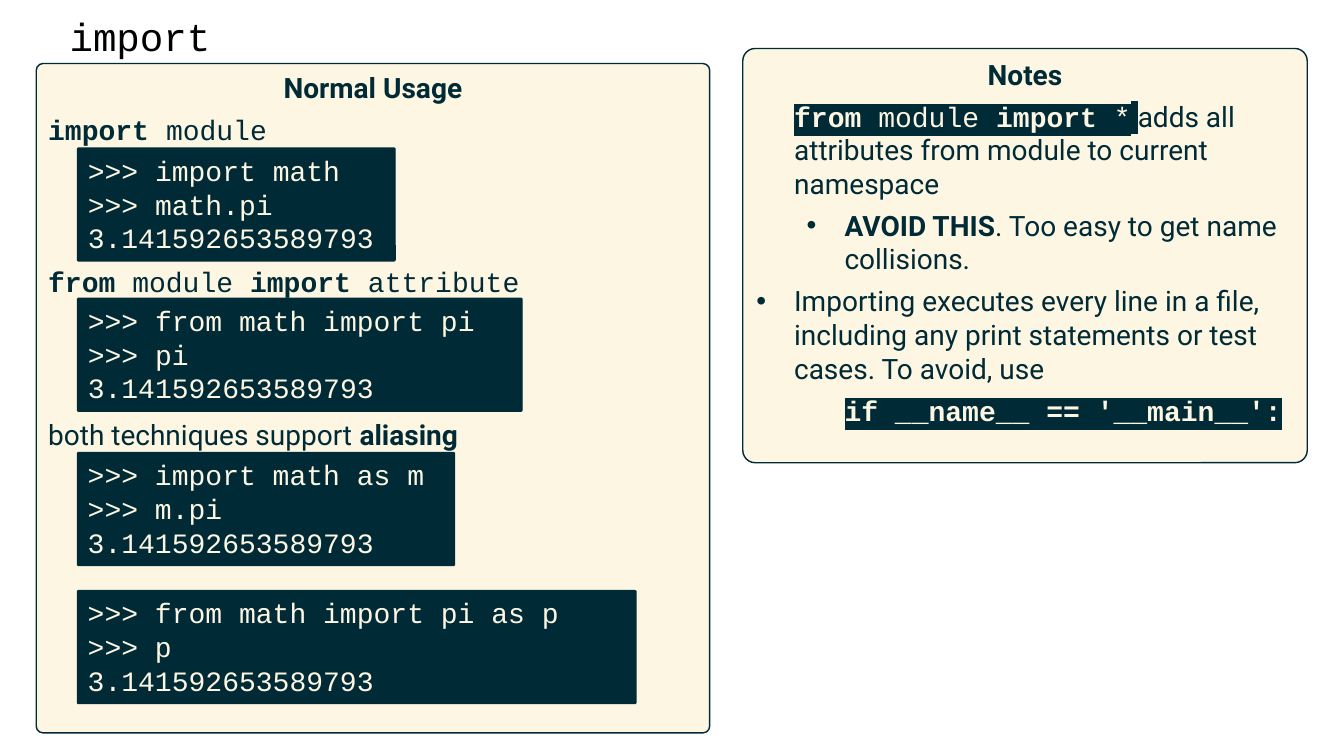
from dataclasses import dataclass

from lxml.etree import SubElement
from pptx import Presentation
from pptx.dml.color import RGBColor
from pptx.enum.shapes import MSO_SHAPE
from pptx.enum.text import MSO_ANCHOR, MSO_AUTO_SIZE, PP_ALIGN
from pptx.oxml.ns import qn
from pptx.util import Pt

COLORS = {"ink": "002B36", "paper": "FDF6E3", "black": "000000"}
MONO = "Courier New"
SANS = "Roboto"
INDENT = 27
CODE_LEFT = 55.4
CODE_HEIGHT = 80.6
RESULT = "3.141592653589793"


@dataclass
class Span:
    text: str
    font: str = SANS
    bold: bool = False
    color: str = "ink"
    highlight: str = ""


@dataclass
class Line:
    spans: list[Span]
    before: float = 6
    after: float = 0
    align: PP_ALIGN = PP_ALIGN.LEFT
    bullet_level: int | None = None


@dataclass
class Box:
    left: float
    top: float
    width: float
    height: float
    corner: float
    fill: str
    lines: list[Line]


@dataclass
class Example:
    top: float
    width: float
    statement: str
    expression: str


def rgb(name: str) -> RGBColor:
    return RGBColor.from_string(COLORS[name])


def apply(target, values: dict) -> None:
    for name, value in values.items():
        setattr(target, name, value)


def add_span(paragraph, span: Span, size: float = 20) -> None:
    run = paragraph.add_run()
    run.text = span.text
    run.font.color.rgb = rgb(span.color)
    apply(run.font, {"name": span.font, "size": Pt(size), "bold": span.bold})
    if span.highlight:
        properties = run.font._element
        highlight = SubElement(properties, qn("a:highlight"))
        SubElement(highlight, qn("a:srgbClr"), val=COLORS[span.highlight])
        properties.find(qn("a:solidFill")).addnext(highlight)


def set_bullet(paragraph, level: int) -> None:
    paragraph.level = level
    properties = paragraph._p.get_or_add_pPr()
    properties.set("marL", str(Pt(INDENT + 36 * level)))
    properties.set("indent", str(Pt(-INDENT)))
    SubElement(properties, qn("a:buFont"), typeface="Arial")
    SubElement(properties, qn("a:buChar"), char="•")


def add_line(paragraph, line: Line) -> None:
    apply(paragraph, {
        "alignment": line.align,
        "space_before": Pt(line.before),
        "space_after": Pt(line.after),
    })
    if line.bullet_level is not None:
        set_bullet(paragraph, line.bullet_level)
    for span in line.spans:
        add_span(paragraph, span)


def add_box(slide, box: Box) -> None:
    panel = slide.shapes.add_shape(
        MSO_SHAPE.ROUNDED_RECTANGLE,
        Pt(box.left), Pt(box.top), Pt(box.width), Pt(box.height),
    )
    panel.adjustments[0] = box.corner
    panel.shadow.inherit = False
    panel.fill.solid()
    panel.fill.fore_color.rgb = rgb(box.fill)
    panel.line.color.rgb = rgb("ink")
    panel.line.width = Pt(1)
    frame = panel.text_frame
    apply(frame, {"word_wrap": True, "vertical_anchor": MSO_ANCHOR.TOP})
    for index, line in enumerate(box.lines):
        add_line(frame.add_paragraph() if index else frame.paragraphs[0], line)


def heading(text: str) -> Line:
    return Line([Span(text, bold=True)], align=PP_ALIGN.CENTER)


def code_box(example: Example) -> Box:
    texts = [f">>> {example.statement}", f">>> {example.expression}", RESULT]
    lines = [Line([Span(text, MONO, color="paper")], before=0) for text in texts]
    return Box(CODE_LEFT, example.top, example.width, CODE_HEIGHT, 0.01, "ink", lines)


def inverse(text: str, bold: bool = False, font: str = MONO) -> Span:
    return Span(text, font, bold, "paper", "ink")


def add_title(slide, text: str) -> None:
    title = slide.shapes.title
    apply(title, {"left": Pt(42.5), "top": Pt(4.3), "width": Pt(162.7), "height": Pt(46.8)})
    apply(title.text_frame, {
        "word_wrap": True,
        "auto_size": MSO_AUTO_SIZE.NONE,
        "vertical_anchor": MSO_ANCHOR.MIDDLE,
    })
    paragraph = title.text_frame.paragraphs[0]
    apply(paragraph, {"alignment": PP_ALIGN.LEFT, "line_spacing": 0.9})
    add_span(paragraph, Span(text, MONO, color="black"), 28)


USAGE = Box(25.9, 45.4, 481, 478.1, 0.01, "paper", [
    heading("Normal Usage"),
    Line([Span("import ", MONO, True), Span("module", MONO)], after=78.8),
    Line([
        Span("from ", MONO, True),
        Span("module", MONO),
        Span(" import ", MONO, True),
        Span("attribute", MONO),
    ], after=78.8),
    Line([Span("both techniques support "), Span("aliasing", bold=True)]),
])

NOTES = Box(530.6, 34.6, 403.2, 295.9, 0.03, "paper", [
    heading("Notes"),
    Line([
        inverse("from", True),
        inverse(" module "),
        inverse("import", True),
        inverse(" *"),
        inverse(" ", font=SANS),
        Span("adds all attributes from module to current namespace"),
    ], bullet_level=0),
    Line([
        Span("AVOID THIS", bold=True),
        Span(". Too easy to get name collisions."),
    ], bullet_level=1),
    Line([Span(
        "Importing executes every line in a file, including any print "
        "statements or test cases. To avoid, use"
    )], bullet_level=0),
    Line([inverse("if __name__ == '__main__':", True)], bullet_level=1),
])

EXAMPLES = [
    Example(105.8, 226.8, "import math", "math.pi"),
    Example(213.1, 317.5, "from math import pi", "pi"),
    Example(323.3, 269.3, "import math as m", "m.pi"),
    Example(421.9, 398.9, "from math import pi as p", "p"),
]


def main() -> None:
    presentation = Presentation()
    apply(presentation, {"slide_width": Pt(960), "slide_height": Pt(540)})
    slide = presentation.slides.add_slide(presentation.slide_layouts[5])
    add_title(slide, "import")
    for box in [USAGE, NOTES, *map(code_box, EXAMPLES)]:
        add_box(slide, box)
    presentation.save("out.pptx")


if __name__ == "__main__":
    main()
